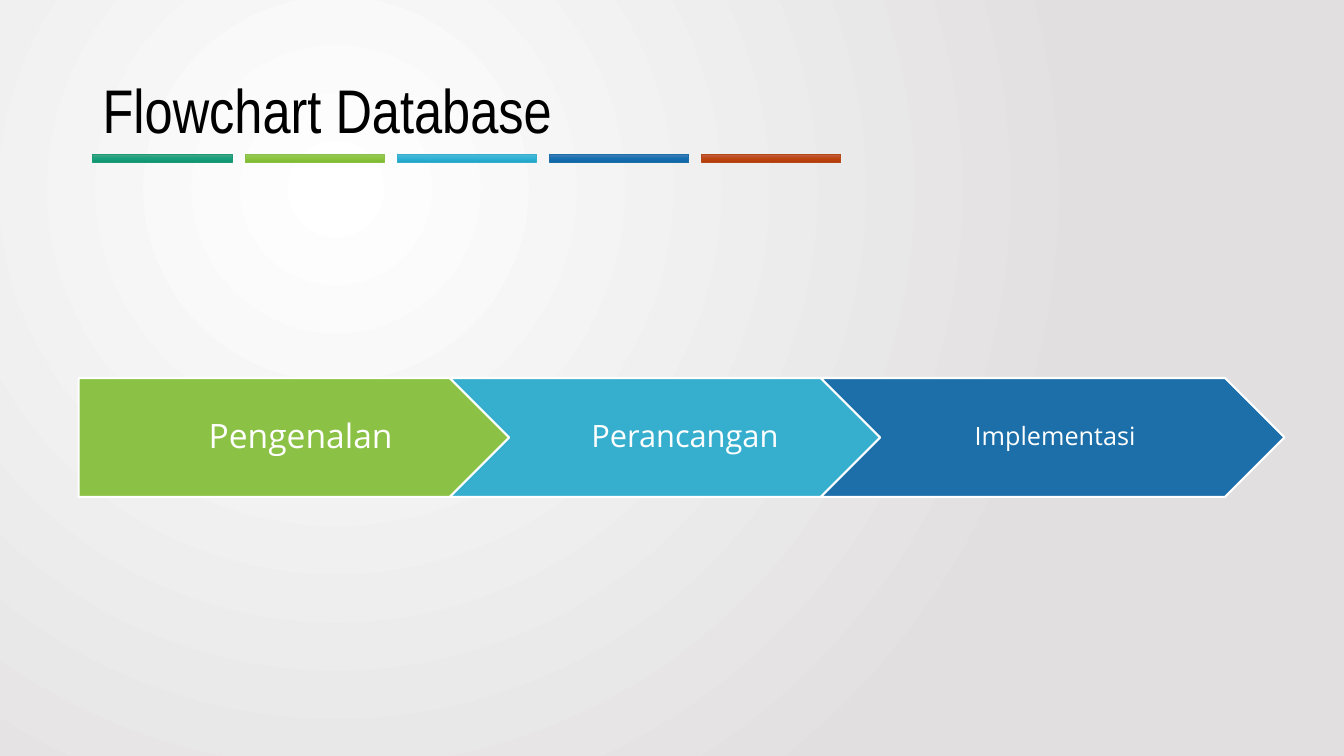
import pptx
import pptx.util
from lxml import etree
from pptx.dml.color import RGBColor
from pptx.enum.shapes import MSO_SHAPE
from pptx.enum.text import MSO_ANCHOR, PP_ALIGN
from pptx.oxml.ns import qn
from pptx.util import Inches

COLORS = {"green": "1D9A78", "lime": "8BC145", "cyan": "36AFCE", "blue": "1D6FA9",
          "rust": "B74919", "white": "FFFFFF", "grey": "E1DFDF", "black": "000000"}

# Top, middle and bottom shades of each accent bar
BAR_SHADES = {
    "green": ("4EA788", "17A07B", "0F9470"),
    "lime": ("98C862", "8CC73F", "7DB831"),
    "cyan": ("59B8D4", "2EB3D6", "21A4C6"),
    "blue": ("4E80B5", "1670B0", "0D65A3"),
    "rust": ("C2634D", "BF4611", "B13B08"),
}

# Label, color, preset shape, text size, insets (left, top, right, bottom)
STEPS = [
    ("Pengenalan", "lime", MSO_SHAPE.PENTAGON, 24, (0.14, 0.07, 0.04, 0.07)),
    ("Perancangan", "cyan", MSO_SHAPE.CHEVRON, 22, (0.1, 0.06, 0.03, 0.06)),
    ("Implementasi", "blue", MSO_SHAPE.CHEVRON, 18, (0.08, 0.05, 0.03, 0.05)),
]


def rgb(name):
    return RGBColor.from_string(COLORS[name])


def set_gradient(owner, fill, shades, circle=False):
    """Spread the shades evenly, downwards or as a circle."""
    fill.gradient()
    grad = owner._element.find(".//" + qn("a:gradFill"))
    for child in list(grad):
        grad.remove(child)
    stops = etree.SubElement(grad, qn("a:gsLst"))
    for i, shade in enumerate(shades):
        stop = etree.SubElement(stops, qn("a:gs"), pos=str(100000 * i // (len(shades) - 1)))
        etree.SubElement(stop, qn("a:srgbClr"), val=shade)
    if circle:
        way = etree.SubElement(grad, qn("a:path"), path="circle")
        etree.SubElement(way, qn("a:fillToRect"), l="50000", t="50000", r="100000", b="100000")
    else:
        etree.SubElement(grad, qn("a:lin"), ang="5400000", scaled="0")


def set_text(sp, text, insets, para, font, color):
    tf = sp.text_frame
    left, top, right, bottom = (Inches(v) for v in insets)
    frame = {"word_wrap": True, "vertical_anchor": MSO_ANCHOR.MIDDLE, "margin_left": left,
             "margin_top": top, "margin_right": right, "margin_bottom": bottom}
    p = tf.paragraphs[0]
    r = p.add_run()
    r.text = text
    for target, values in ((tf, frame), (p, para), (r.font, font)):
        for key, value in values.items():
            setattr(target, key, value)
    r.font.color.rgb = rgb(color)


def add_block(s, preset, x, y, w, h, line, weight):
    sp = s.shapes.add_shape(preset, Inches(x), Inches(y), Inches(w), Inches(h))
    sp.shadow.inherit = False
    sp.line.color.rgb = rgb(line)
    sp.line.width = pptx.util.Pt(weight)
    return sp


def add_title(s, x, y, w, h):
    sp = s.shapes.add_textbox(Inches(x), Inches(y), Inches(w), Inches(h))
    set_text(sp, "Flowchart Database", (0.1, 0.05, 0.1, 0.05), {"line_spacing": 0.9},
             {"size": pptx.util.Pt(44), "name": "Arial Narrow"}, "black")


def add_accent_bars(s, x, y, w, h):
    bar_w = 1.38
    pitch = (w - bar_w) / (len(BAR_SHADES) - 1)
    for i, (name, shades) in enumerate(BAR_SHADES.items()):
        sp = add_block(s, MSO_SHAPE.RECTANGLE, x + i * pitch, y, bar_w, h, name, 0.5)
        set_gradient(sp, sp.fill, shades)


def add_process(s, x, y, w, h):
    step_w = 4.6
    pitch = (w - step_w) / (len(STEPS) - 1)
    for i, (label, color, preset, size, insets) in enumerate(STEPS):
        sp = add_block(s, preset, x + i * pitch, y, step_w, h, "white", 1.5)
        sp.fill.solid()
        sp.fill.fore_color.rgb = rgb(color)
        set_text(sp, label, insets, {"alignment": PP_ALIGN.CENTER, "line_spacing": 0.9},
                 {"size": pptx.util.Pt(size), "name": "Open Sans"}, "white")


def main():
    prs = pptx.Presentation()
    prs.slide_width, prs.slide_height = Inches(13.33), Inches(7.5)
    s = prs.slides.add_slide(prs.slide_layouts[6])

    # Background
    set_gradient(s, s.background.fill, (COLORS["white"], COLORS["grey"]), circle=True)
    # Heading
    add_accent_bars(s, 0.92, 1.53, 7.42, 0.08)
    add_title(s, 0.92, 0.4, 11.5, 1.45)
    # Process arrows
    add_process(s, 0.78, 3.75, 11.96, 1.18)

    prs.save("out.pptx")


if __name__ == "__main__":
    main()
